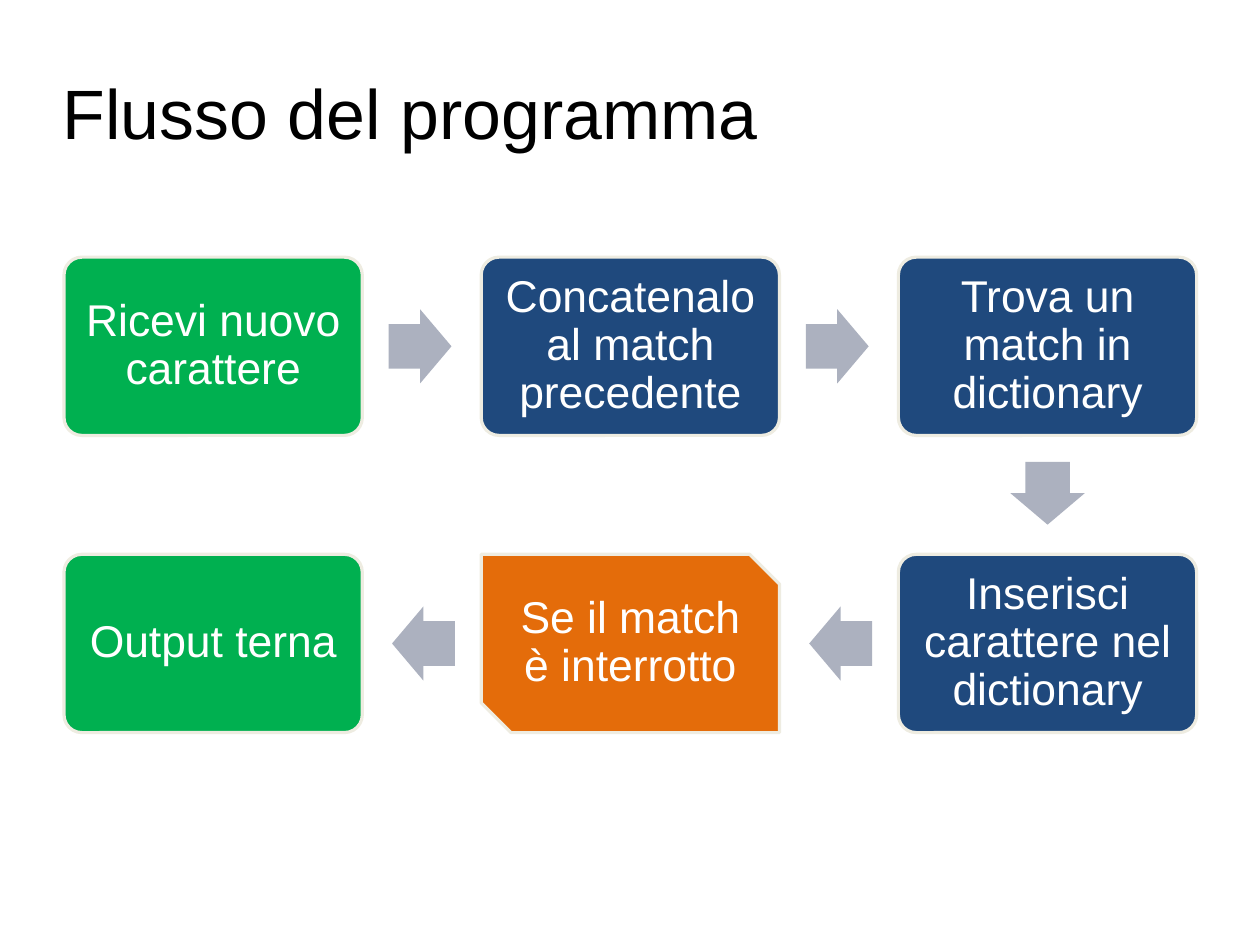
from dataclasses import dataclass
from pptx import Presentation
from pptx.dml.color import RGBColor as RGB
from pptx.enum.shapes import MSO_SHAPE as Kind
from pptx.enum.text import MSO_ANCHOR as Anchor, MSO_AUTO_SIZE as Fit, PP_ALIGN as Align
from pptx.util import Inches, Pt


@dataclass(frozen=True)
class Theme:
    font: str = "Arial"
    title: int = 44
    body: int = 28
    ink: str = "000000"
    paper: str = "FFFFFF"
    edge: str = "EEECE1"
    arrow: str = "ACB1BF"
    green: str = "00B050"
    blue: str = "1F497D"
    orange: str = "E46C0A"


T = Theme()
ROUND, SNIP = Kind.ROUNDED_RECTANGLE, Kind.SNIP_2_DIAG_RECTANGLE

# Page of 28 by 21 cm, in inches
PAGE = (28 / 2.54, 21 / 2.54)

# Steps in order of flow: text, fill, outline, column, row
STEPS = [
    ("Ricevi nuovo carattere", T.green, ROUND, 0, 0),
    ("Concatenalo al match precedente", T.blue, ROUND, 1, 0),
    ("Trova un match in dictionary", T.blue, ROUND, 2, 0),
    ("Inserisci carattere nel dictionary", T.blue, ROUND, 2, 1),
    ("Se il match è interrotto", T.orange, SNIP, 1, 1),
    ("Output terna", T.green, ROUND, 0, 1),
]


def write(shape, text, size=T.body, color=T.paper, align=Align.CENTER, inset=0.12):
    frame = shape.text_frame
    frame.word_wrap = True
    frame.auto_size = Fit.NONE
    frame.vertical_anchor = Anchor.MIDDLE
    frame.margin_left = frame.margin_right = Inches(inset)
    frame.margin_top = frame.margin_bottom = Inches(inset)
    para = frame.paragraphs[0]
    para.alignment = align
    para.line_spacing = 0.9
    para.space_before = Pt(0)
    run = para.add_run()
    run.text = text
    run.font.name = T.font
    run.font.size = Pt(size)
    run.font.color.rgb = RGB.from_string(color)


def draw(slide, kind, box, fill, edge=None):
    shape = slide.shapes.add_shape(kind, *map(Inches, box))
    shape.shadow.inherit = False
    shape.fill.solid()
    shape.fill.fore_color.rgb = RGB.from_string(fill)
    if edge:
        shape.line.color.rgb = RGB.from_string(edge)
        shape.line.width = Pt(2)
    else:
        shape.line.fill.background()
    return shape


def add_title(slide, box, text):
    title = slide.shapes.title
    title.left, title.top, title.width, title.height = map(Inches, box)
    write(title, text, size=T.title, color=T.ink, align=Align.LEFT, inset=0)


def add_arrow(slide, box, dx, dy):
    """Place an arrow just past the step box, towards the next step."""
    left, top, width, height = box
    long, wide, gap = 0.55, 0.65, 0.23
    if dy:
        kind = Kind.DOWN_ARROW
        place = (left + (width - wide) / 2, top + height + gap, wide, long)
    else:
        kind = Kind.RIGHT_ARROW if dx > 0 else Kind.LEFT_ARROW
        start = left + width + gap if dx > 0 else left - gap - long
        place = (start, top + (height - wide) / 2, long, wide)
    arrow = draw(slide, kind, place, T.arrow)
    arrow.adjustments[0] = 0.6
    arrow.adjustments[1] = 0.5


def add_flow(slide, box, steps):
    left, top, width, height = box
    wide, high = 2.61, 1.56
    across, down = (width - wide) / 2, height - high
    for i, (text, fill, kind, col, row) in enumerate(steps):
        # Step
        place = (left + col * across, top + row * down, wide, high)
        step = draw(slide, kind, place, fill, T.edge)
        if kind == ROUND:
            step.adjustments[0] = 0.1
        write(step, text)
        # Arrow to the next step
        if i + 1 < len(steps):
            to_col, to_row = steps[i + 1][3:]
            add_arrow(slide, place, to_col - col, to_row - row)


def main():
    deck = Presentation()
    deck.slide_width, deck.slide_height = map(Inches, PAGE)
    slide = deck.slides.add_slide(deck.slide_layouts[5])
    add_title(slide, (0.55, 0.33, 9.92, 1.38), "Flusso del programma")
    add_flow(slide, (0.56, 2.25, 9.91, 4.16), STEPS)
    deck.save("out.pptx")


if __name__ == "__main__":
    main()
